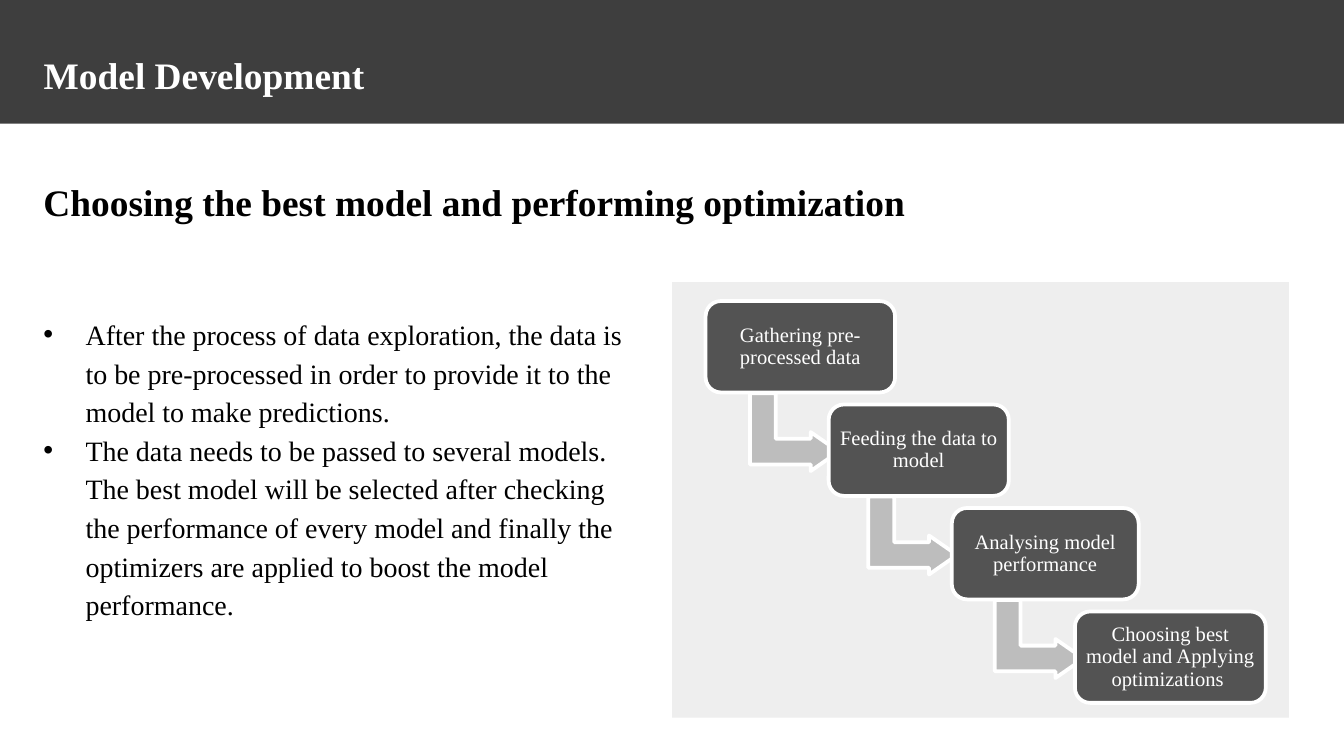
"""Build the Model Development slide with its staircase of steps."""
import lxml.etree
import pptx
import pptx.dml.color
import pptx.enum.shapes
import pptx.enum.text
import pptx.oxml.ns
import pptx.util

RGBColor = pptx.dml.color.RGBColor
WHITE = RGBColor(0xFF, 0xFF, 0xFF)
BLACK = RGBColor(0, 0, 0)
BAND_GREY = RGBColor(0x3E, 0x3E, 0x3E)
STEP_GREY = RGBColor(0x53, 0x53, 0x53)
ARROW_GREY = RGBColor(0xBD, 0xBD, 0xBD)
PANEL_GREY = RGBColor(0xEE, 0xEE, 0xEE)

SHAPES = pptx.enum.shapes.MSO_SHAPE
ALIGN = pptx.enum.text.PP_ALIGN
ANCHOR = pptx.enum.text.MSO_ANCHOR
FONT = "Times New Roman"
COLUMNS, ROWS = 100, 56.25
CELL = pptx.util.Inches(0.1)
TEXT_LEFT, TEXT_WIDTH = 2.25, 93.7

BULLETS = [
    "After the process of data exploration, the data is to be pre-processed in order "
    "to provide it to the model to make predictions. ",
    "The data needs to be passed to several models. The best model will be selected "
    "after checking the performance of every model and finally the optimizers are "
    "applied to boost the model performance.",
]
STEPS = [
    ("Gathering pre-processed data", 14.1),
    ("Feeding the data to model", 13.4),
    ("Analysing model performance", 13.9),
    ("Choosing best model and Applying optimizations ", 14.2),
]
STEP_LEFT, STEP_TOP, STEP_HEIGHT = 52.5, 22.4, 6.8
STEP_ACROSS, STEP_DOWN = 9.16, 7.7
ARROW_WIDTH, ARROW_HEIGHT = 5.8, 6.6
ARROW_BACK, ARROW_DROP = 3.35, 6.45


def cells(*counts):
    """Turn counts of grid cells into lengths."""
    return [pptx.util.Emu(round(count * CELL)) for count in counts]


def apply_format(target, values):
    """Set each attribute of the target from a dict."""
    for name, value in values.items():
        setattr(target, name, value)


def write_text(shape, texts, size, color, inset=1, bold=False, anchor=ANCHOR.TOP,
               align=ALIGN.LEFT, spacing=1.0):
    """Write formatted paragraphs into a shape."""
    margin = cells(inset)[0]
    frame = shape.text_frame
    frame.text = "\n".join(texts)
    apply_format(frame, {
        "word_wrap": True, "auto_size": pptx.enum.text.MSO_AUTO_SIZE.NONE,
        "vertical_anchor": anchor, "margin_left": margin, "margin_right": margin,
        "margin_top": margin, "margin_bottom": margin,
    })
    for paragraph in frame.paragraphs:
        apply_format(paragraph, {"alignment": align, "line_spacing": spacing})
        for run in paragraph.runs:
            apply_format(run.font, {"name": FONT, "size": pptx.util.Pt(size), "bold": bold})
            run.font.color.rgb = color


def add_block(slide, kind, box, fill, outlined=False):
    """Add a filled preset shape, with a white outline if asked."""
    shape = slide.shapes.add_shape(kind, *cells(*box))
    shape.shadow.inherit = False
    shape.fill.solid()
    shape.fill.fore_color.rgb = fill
    if outlined:
        shape.line.color.rgb = WHITE
        shape.line.width = pptx.util.Pt(2)
    else:
        shape.line.fill.background()
    return shape


def add_title(slide, text):
    """Place the title on its dark band."""
    title = slide.shapes.title
    apply_format(title, dict(zip(("left", "top", "width", "height"),
                                 cells(TEXT_LEFT, 2.9, TEXT_WIDTH, 5.4))))
    write_text(title, [text], 20, WHITE, bold=True)
    band = add_block(slide, SHAPES.RECTANGLE, (-0.3, 0, 100.5, 9.2), BAND_GREY)
    title.element.addprevious(band.element)


def add_text(slide, box, texts, size, bold=False):
    """Add a black text box and return it."""
    shape = slide.shapes.add_textbox(*cells(*box))
    write_text(shape, texts, size, BLACK, bold=bold, spacing=1.15)
    return shape


def add_bullets(slide, box, texts):
    """Add a bulleted list with hanging indents."""
    shape = add_text(slide, box, texts, 15)
    indent = cells(3.13)[0]
    for paragraph in shape.text_frame.paragraphs:
        properties = paragraph._p.get_or_add_pPr()
        properties.set("marL", str(indent))
        properties.set("indent", str(-indent))
        for tag, name, value in (("a:buFont", "typeface", "Arial"),
                                 ("a:buChar", "char", "\u2022")):
            lxml.etree.SubElement(properties, pptx.oxml.ns.qn(tag)).set(name, value)


def add_arrow(slide, left, top):
    """Add a bent arrow that leads down and to the right."""
    arrow = add_block(slide, SHAPES.BENT_UP_ARROW,
                      (left, top, ARROW_WIDTH, ARROW_HEIGHT), ARROW_GREY, outlined=True)
    arrow.rotation = 90
    for index, value in enumerate((0.33, 0.25, 0.36)):
        arrow.adjustments[index] = value


def add_staircase(slide, steps):
    """Add the steps as descending boxes joined by arrows."""
    for index, (label, width) in enumerate(steps):
        left = STEP_LEFT + index * STEP_ACROSS
        top = STEP_TOP + index * STEP_DOWN
        if index < len(steps) - 1:
            add_arrow(slide, left + width / 2 - ARROW_BACK, top + ARROW_DROP)
        step = add_block(slide, SHAPES.ROUNDED_RECTANGLE,
                         (left, top, width, STEP_HEIGHT), STEP_GREY, outlined=True)
        write_text(step, [label], 11, WHITE, inset=0.5, anchor=ANCHOR.MIDDLE,
                   align=ALIGN.CENTER, spacing=0.9)


def main():
    """Build and save the presentation."""
    presentation = pptx.Presentation()
    presentation.slide_width, presentation.slide_height = cells(COLUMNS, ROWS)
    slide = presentation.slides.add_slide(
        presentation.slide_layouts.get_by_name("Title Only"))
    add_title(slide, "Model Development")
    add_text(slide, (TEXT_LEFT, 11.85, TEXT_WIDTH, 5.6),
             ["Choosing the best model and performing optimization"], 20, bold=True)
    add_bullets(slide, (TEXT_LEFT, 22.25, 45.2, 25), BULLETS)
    add_block(slide, SHAPES.RECTANGLE, (50, 21, 45.9, 32.4), PANEL_GREY)
    add_staircase(slide, STEPS)
    presentation.save("out.pptx")


main()
